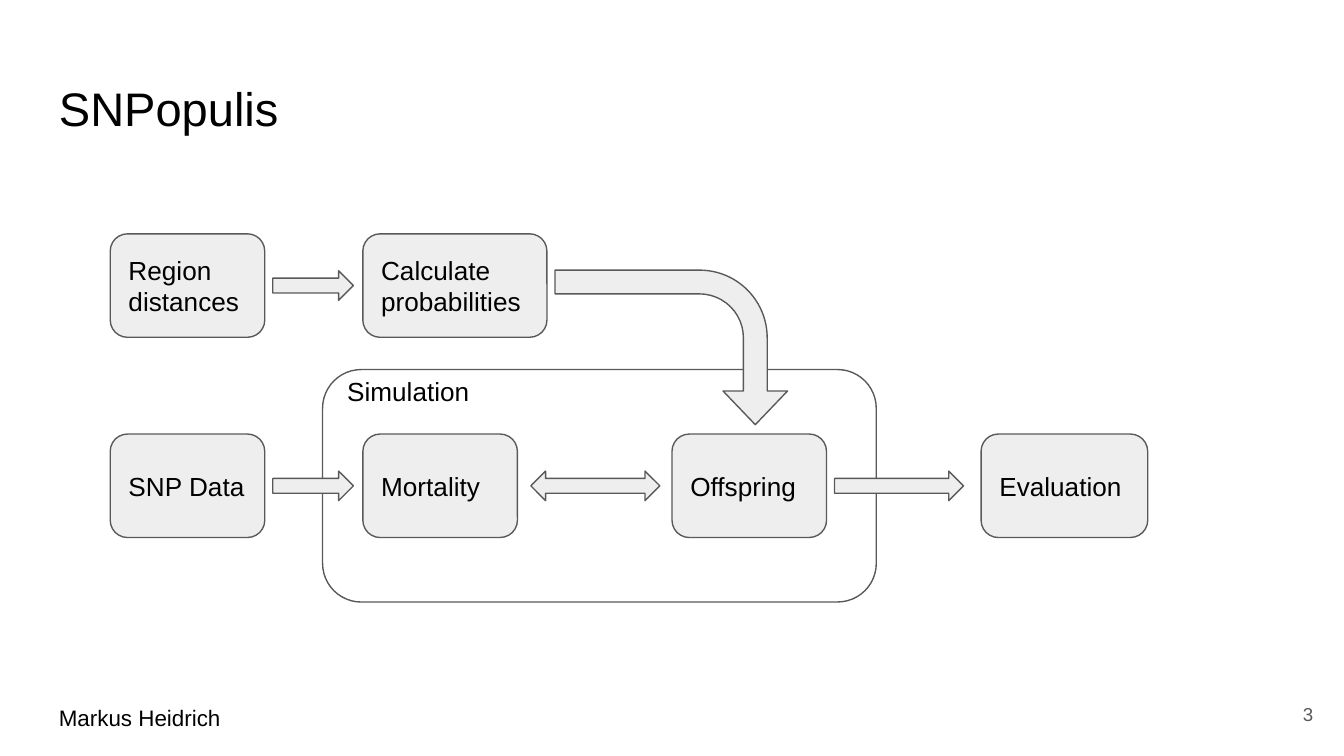
from pptx import Presentation
from pptx.dml.color import RGBColor
from pptx.enum.shapes import MSO_SHAPE
from pptx.enum.text import MSO_ANCHOR, PP_ALIGN
from pptx.util import Inches, Pt

COLORS = {"text": "000000", "muted": "595959", "step": "EEEEEE", "group": "FFFFFF"}
FONT = "Arial"

# Content: text, left, top, width, height, size, colour, anchor, alignment
LABELS = [
    ("SNPopulis", 0.34, 0.49, 9.32, 0.63, 25.2, "text", MSO_ANCHOR.TOP, PP_ALIGN.LEFT),
    ("Markus Heidrich", 0.34, 5.14, 8.93, 0.4, 12, "text", MSO_ANCHOR.TOP, PP_ALIGN.LEFT),
    ("3", 9.27, 5.1, 0.6, 0.43, 10, "muted", MSO_ANCHOR.MIDDLE, PP_ALIGN.RIGHT),
]
ROWS = {"preparation": 1.74, "simulation": 3.23}
STEP_WIDTH, STEP_HEIGHT, ARROW_HEIGHT = 1.15, 0.77, 0.22

# Steps: paragraphs, row, left, width
STEPS = [
    (["Region", "distances"], "preparation", 0.82, STEP_WIDTH),
    (["SNP Data"], "simulation", 0.82, STEP_WIDTH),
    (["Calculate probabilities"], "preparation", 2.7, 1.37),
    (["Mortality"], "simulation", 2.7, STEP_WIDTH),
    (["Offspring"], "simulation", 5, STEP_WIDTH),
    (["Evaluation"], "simulation", 7.3, 1.24),
]
# Block arrows: shape, row, left, width
ARROWS = [
    (MSO_SHAPE.LEFT_RIGHT_ARROW, "simulation", 3.95, 0.96),
    (MSO_SHAPE.RIGHT_ARROW, "preparation", 2.03, 0.6),
    (MSO_SHAPE.RIGHT_ARROW, "simulation", 2.03, 0.6),
    (MSO_SHAPE.RIGHT_ARROW, "simulation", 6.21, 0.96),
]


def color(name):
    return RGBColor.from_string(COLORS[name])


def write(box, lines, size, tint="text", anchor=MSO_ANCHOR.MIDDLE,
          align=PP_ALIGN.LEFT, top_inset=0.1):
    frame = box.text_frame
    frame.word_wrap = True
    frame.vertical_anchor = anchor
    frame.margin_left = frame.margin_right = frame.margin_bottom = Inches(0.1)
    frame.margin_top = Inches(top_inset)
    for index, line in enumerate(lines):
        para = frame.add_paragraph() if index else frame.paragraphs[0]
        para.alignment = align
        span = para.add_run()
        span.text = line
        span.font.name = FONT
        span.font.size = Pt(size)
        span.font.color.rgb = color(tint)


def add_block(page, kind, left, top, width, height, fill="step"):
    block = page.shapes.add_shape(
        kind, Inches(left), Inches(top), Inches(width), Inches(height))
    block.shadow.inherit = False
    block.fill.solid()
    block.fill.fore_color.rgb = color(fill)
    block.line.color.rgb = color("muted")
    block.line.width = Pt(0.75)
    return block


def main():
    # Widescreen page, 16:9
    deck = Presentation()
    deck.slide_width = Inches(10)
    deck.slide_height = Inches(10 * 9 / 16)
    page = deck.slides.add_slide(deck.slide_layouts[6])

    # Simulation frame behind the steps, its label close to the top edge
    group = add_block(page, MSO_SHAPE.ROUNDED_RECTANGLE, 2.4, 2.75, 4.12, 1.73, "group")
    write(group, ["Simulation"], 14, anchor=MSO_ANCHOR.TOP, top_inset=-0.04)

    # Title, author and page number
    for text, left, top, width, height, size, tint, anchor, align in LABELS:
        box = page.shapes.add_textbox(
            Inches(left), Inches(top), Inches(width), Inches(height))
        write(box, [text], size, tint, anchor, align)

    # Steps
    for lines, row, left, width in STEPS:
        step = add_block(page, MSO_SHAPE.ROUNDED_RECTANGLE,
                         left, ROWS[row], width, STEP_HEIGHT)
        write(step, lines, 14)

    # Arrows centred on their row
    for kind, row, left, width in ARROWS:
        top = ROWS[row] + (STEP_HEIGHT - ARROW_HEIGHT) / 2
        add_block(page, kind, left, top, width, ARROW_HEIGHT)

    # Bent arrow from the probabilities down to the offspring
    bend = add_block(page, MSO_SHAPE.BENT_ARROW, 4.42, 1.72, 1.15, 1.73)
    bend.rotation = 90
    for index, value in enumerate((0.154, 0.209, 0.218, 0.438)):
        bend.adjustments[index] = value

    deck.save("out.pptx")


if __name__ == "__main__":
    main()
